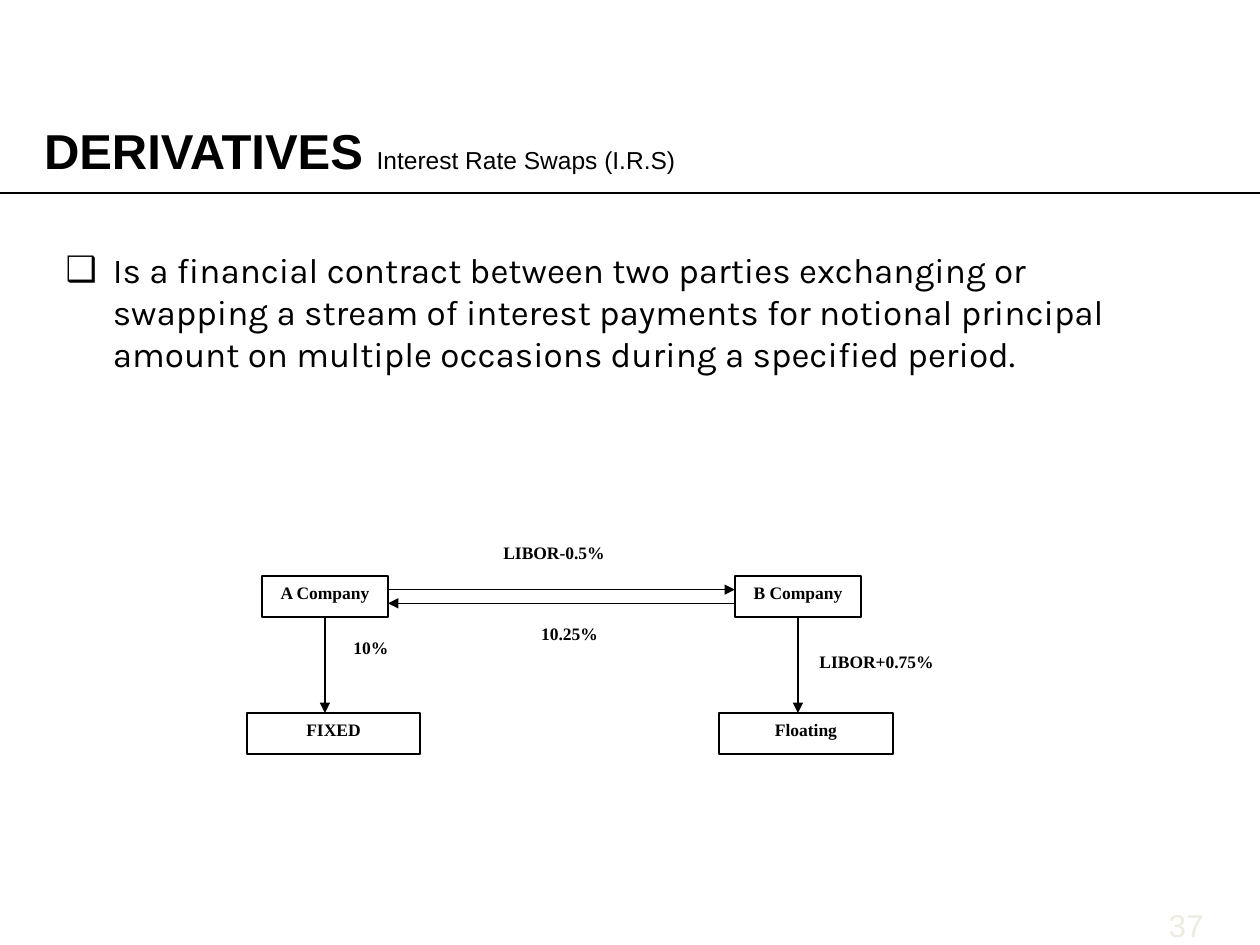
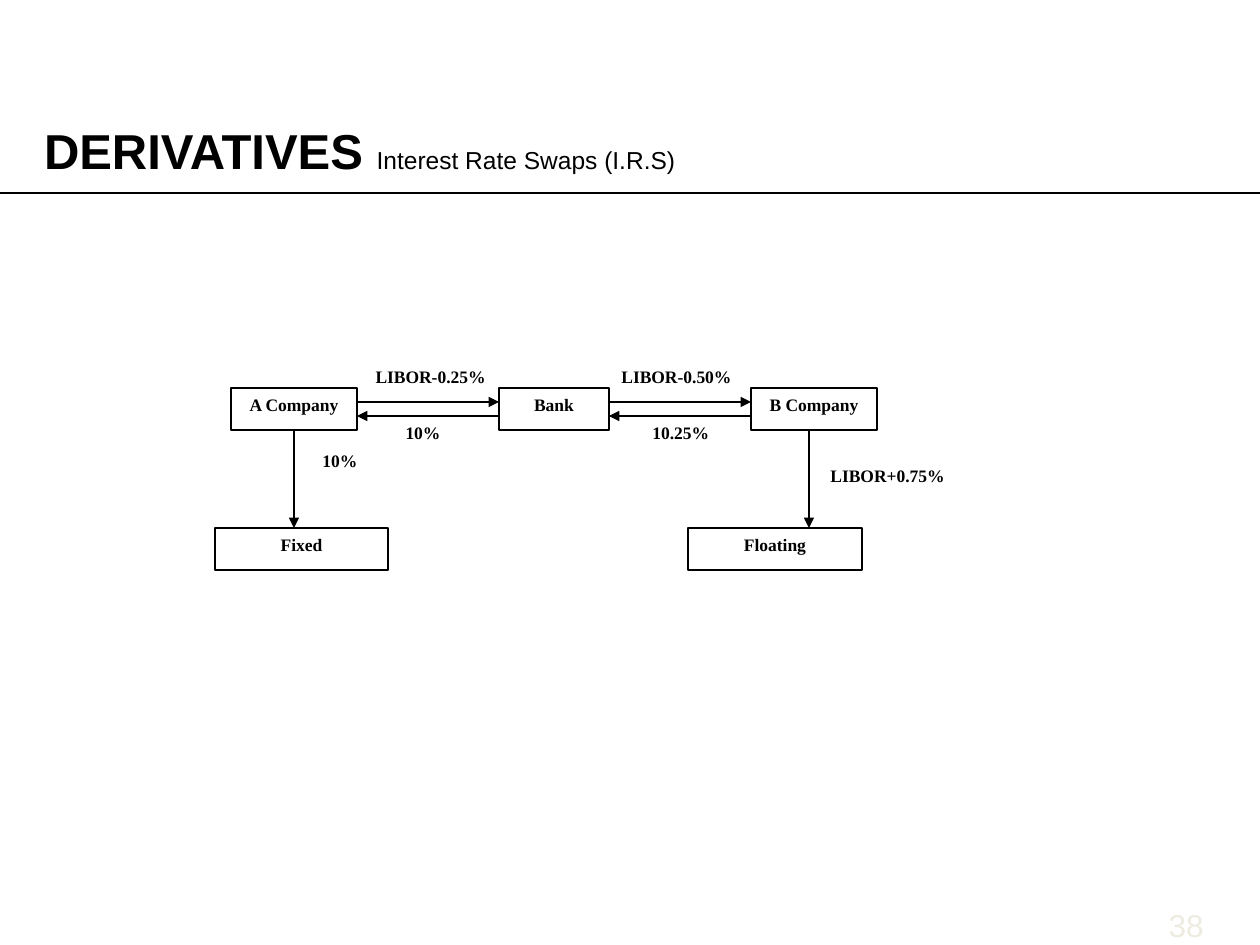
"""Builds two slides on interest rate swaps, each with a cash-flow diagram."""
import lxml.etree
import pptx
import pptx.dml.color
import pptx.enum.shapes
import pptx.enum.text
import pptx.oxml.ns
import pptx.util

COLOURS = {"ink": "000000", "page_number": "EEECE1"}
LEFT = pptx.enum.text.PP_ALIGN.LEFT
CENTRE = pptx.enum.text.PP_ALIGN.CENTER
RIGHT = pptx.enum.text.PP_ALIGN.RIGHT

HEADING = [("DERIVATIVES ", 28, True), ("Interest Rate Swaps (I.R.S)", 14, False)]
PAGES = [
    {
        "number": 37,
        "body": "Is a financial contract between two parties exchanging or swapping "
                "a stream of interest payments for notional principal amount on "
                "multiple occasions during a specified period.",
        "line": 0.75,
        "box_height": 41,
        "boxes": {
            "A Company": (262, 576, 126),
            "B Company": (735, 576, 126),
            "FIXED": (247, 713, 173),
            "Floating": (719, 713, 174),
        },
        "swaps": [("A Company", "B Company")],
        "loans": [("A Company", "FIXED", 325), ("B Company", "Floating", 798)],
        "labels": [
            ("10%", 341, 631, 63, LEFT),
            ("LIBOR-0.5%", 467, 536, 174, CENTRE),
            ("10.25%", 499, 617, 141, CENTRE),
            ("LIBOR+0.75%", 798, 645, 157, CENTRE),
        ],
    },
    {
        "number": 38,
        "body": None,
        "line": 1,
        "box_height": 42,
        "boxes": {
            "A Company": (231, 388, 126),
            "Bank": (499, 388, 110),
            "B Company": (751, 388, 126),
            "Fixed": (215, 528, 173),
            "Floating": (688, 528, 174),
        },
        "swaps": [("A Company", "Bank"), ("Bank", "B Company")],
        "loans": [("A Company", "Fixed", 294), ("B Company", "Floating", 809)],
        "labels": [
            ("10%", 310, 444, 63, LEFT),
            ("10%", 384, 416, 78, CENTRE),
            ("LIBOR+0.75%", 809, 459, 157, CENTRE),
            ("10.25%", 640, 416, 94, LEFT),
            ("LIBOR-0.25%", 352, 360, 157, CENTRE),
            ("LIBOR-0.50%", 609, 360, 157, LEFT),
        ],
    },
]


def px(*lengths):
    return [round(length * 914400 / 126) for length in lengths]


def colour(name):
    return pptx.dml.color.RGBColor.from_string(COLOURS[name])


def add_child(parent, tag, **attributes):
    return lxml.etree.SubElement(parent, pptx.oxml.ns.qn(tag), **attributes)


def write(shape, text, font="Times New Roman", size=10, bold=True, ink="ink", align=CENTRE):
    frame = shape.text_frame
    frame.word_wrap = True
    frame.auto_size = pptx.enum.text.MSO_AUTO_SIZE.NONE
    frame.vertical_anchor = pptx.enum.text.MSO_ANCHOR.TOP
    para = frame.paragraphs[0]
    para.alignment = align
    span = para.add_run()
    span.text = text
    span.font.name = font
    span.font.size = pptx.util.Pt(size)
    span.font.bold = bold
    span.font.color.rgb = colour(ink)
    return para


def place(shape, *bounds):
    shape.left, shape.top, shape.width, shape.height = px(*bounds)


def add_line(page, start, end, width, arrow=True):
    line = page.shapes.add_connector(
        pptx.enum.shapes.MSO_CONNECTOR.STRAIGHT, *px(*start, *end))
    line.line.color.rgb = colour("ink")
    line.line.width = pptx.util.Pt(width)
    if arrow:
        add_child(line.line._get_or_add_ln(), "a:tailEnd", type="triangle")
    add_child(line._element.spPr, "a:effectLst")
    return line


def add_heading(page):
    title = page.shapes.title
    place(title, 44, 130, 1216, 49)
    frame = title.text_frame
    frame.margin_left = frame.margin_top = frame.margin_right = frame.margin_bottom = 0
    for text, size, bold in HEADING:
        para = write(title, text, font="Arial", size=size, bold=bold, align=LEFT)
    para.line_spacing = 0.83
    add_line(page, (0, 193), (1260, 193), 1.5, arrow=False)


def add_body(page, text):
    body = page.placeholders[1]
    place(body, 53, 242, 1071, 577)
    para = write(body, text, font="Karla", size=20, bold=False, align=LEFT)
    add_child(para._p.get_or_add_pPr(), "a:buChar", char="❑")


def add_diagram(page, content):
    boxes, height, width = content["boxes"], content["box_height"], content["line"]
    shapes = {}
    for name, (left, top, box_width) in boxes.items():
        box = page.shapes.add_shape(
            pptx.enum.shapes.MSO_SHAPE.RECTANGLE, *px(left, top, box_width, height))
        box.shadow.inherit = False
        box.fill.background()
        box.line.color.rgb = colour("ink")
        box.line.width = pptx.util.Pt(width)
        write(box, name)
        shapes[name] = box
    for payer, receiver in content["swaps"]:
        left, top, box_width = boxes[payer]
        start, end = left + box_width, boxes[receiver][0]
        upper, lower = top + height / 3, top + height * 2 / 3
        add_line(page, (start, upper), (end, upper), width)
        add_line(page, (end, lower), (start, lower), width)
    for company, loan, x in content["loans"]:
        left, top, box_width = boxes[company]
        arrow = add_line(page, (x, top + height), (x, boxes[loan][1]), width)
        if x == left + box_width // 2:
            arrow.begin_connect(shapes[company], 2)
    for text, left, top, label_width, align in content["labels"]:
        label = page.shapes.add_textbox(*px(left, top, label_width, height))
        write(label, text, align=align)


def main():
    deck = pptx.Presentation()
    deck.slide_width, deck.slide_height = px(1260, 945)
    for content in PAGES:
        layout = deck.slide_layouts[1 if content["body"] else 5]
        page = deck.slides.add_slide(layout)
        add_heading(page)
        if content["body"]:
            add_body(page, content["body"])
        add_diagram(page, content)
        number = page.shapes.add_textbox(*px(1100, 900, 116, 45))
        write(number, str(content["number"]), font="Arial", size=18, bold=False,
              ink="page_number", align=RIGHT)
    deck.save("out.pptx")


if __name__ == "__main__":
    main()
